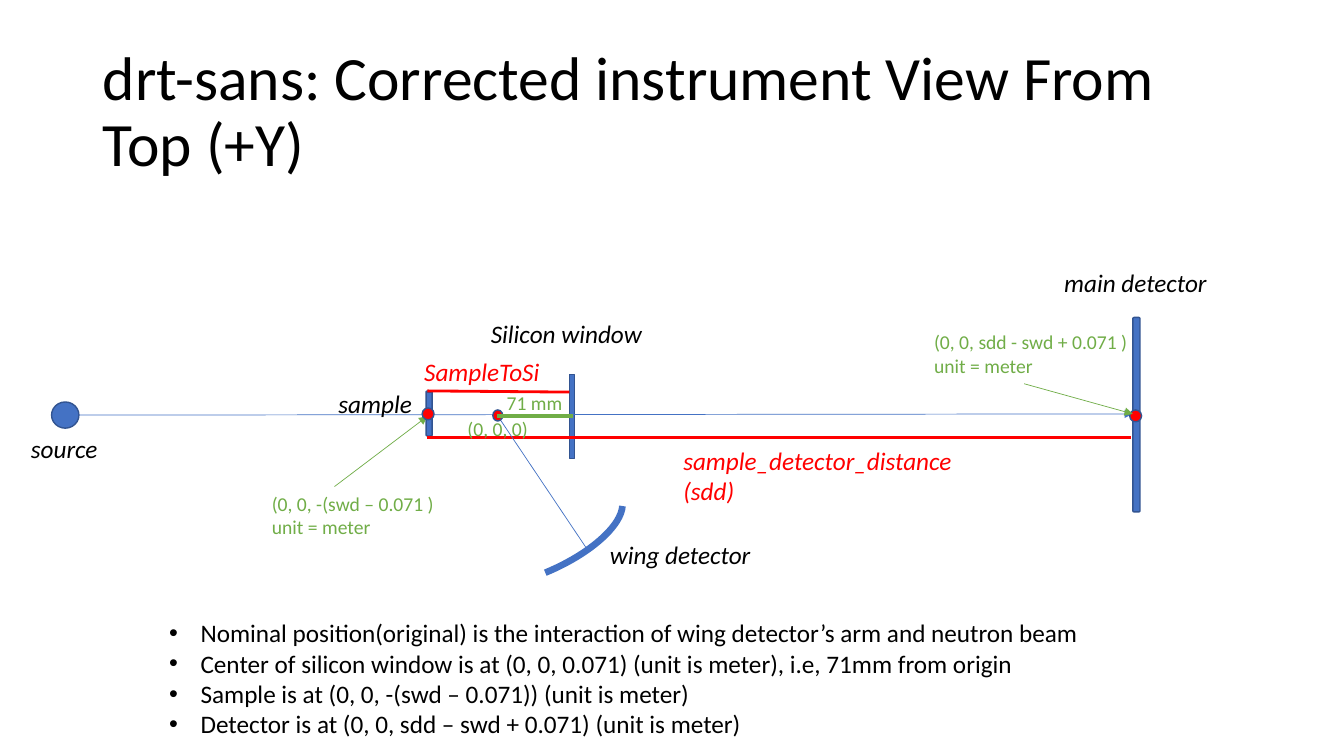
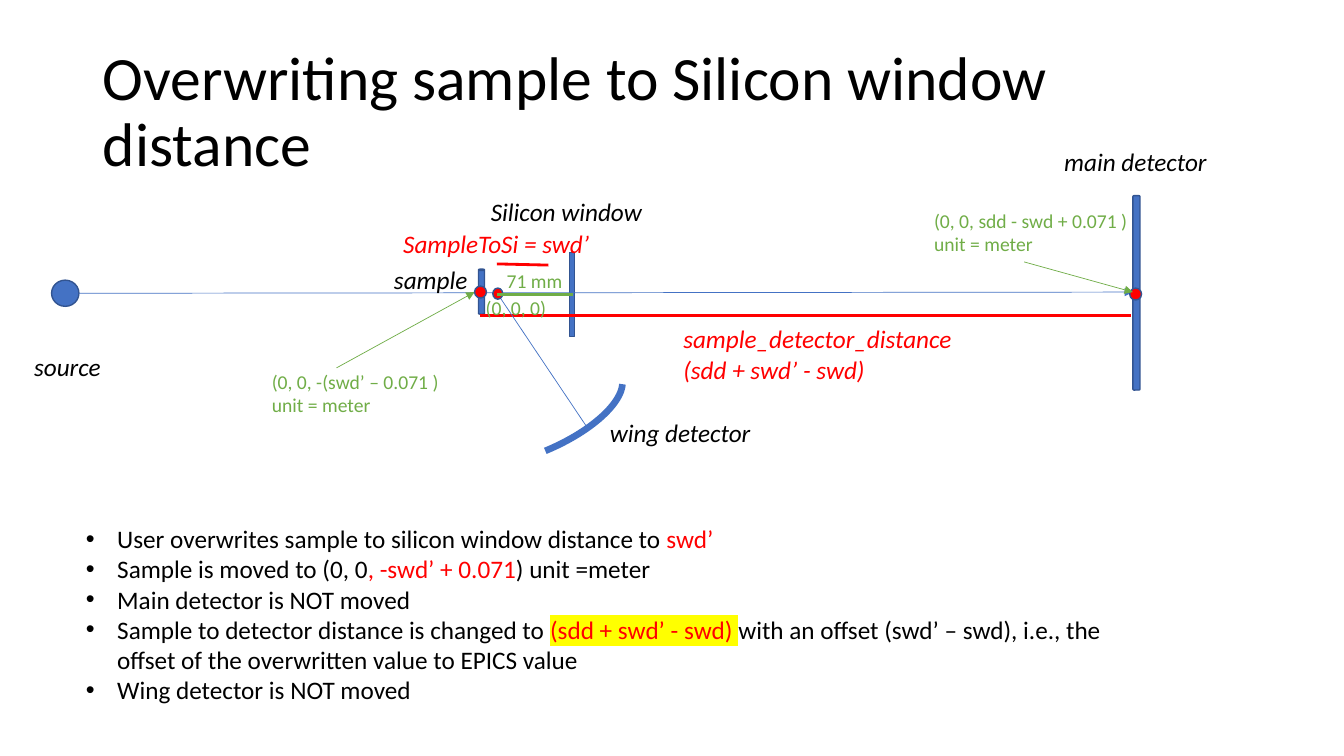
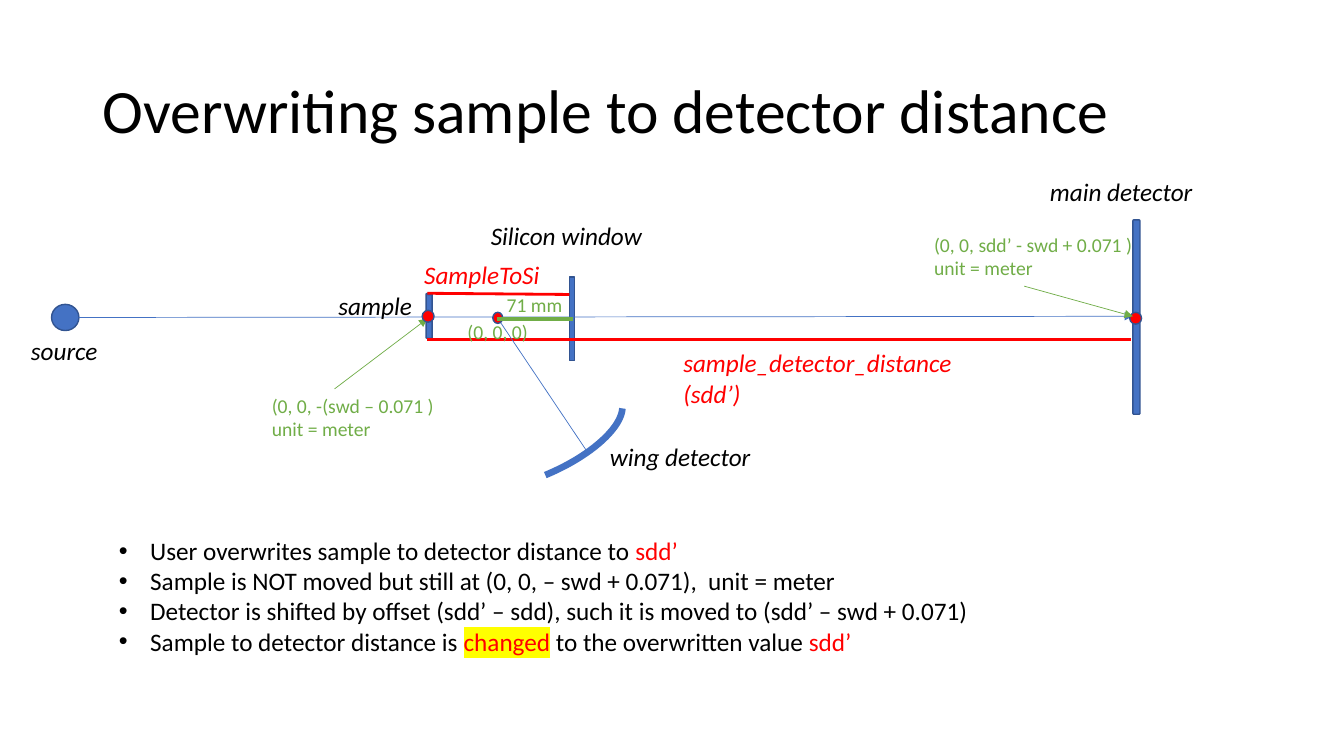
import dataclasses
import pptx
import pptx.dml.color
import pptx.enum.shapes
import pptx.enum.text
import pptx.oxml
import pptx.oxml.ns
import pptx.util

Cm, Pt = pptx.util.Cm, pptx.util.Pt
qn = pptx.oxml.ns.qn
Kind = pptx.enum.shapes.MSO_SHAPE
Fit = pptx.enum.text.MSO_AUTO_SIZE
LINE, ARROW = "line", "arrow"


@dataclasses.dataclass(frozen=True)
class Theme:
    font: str = "Calibri"
    black: str = "000000"
    red: str = "FF0000"
    green: str = "70AD47"
    blue: str = "4472C4"
    edge: str = "325491"
    mark: str = "FFFF00"
    head: int = 44
    text: int = 18
    note: int = 14


theme = Theme()


def rgb(tone):
    return pptx.dml.color.RGBColor.from_string(tone)


# Each line is a paragraph; parts between bars are red, and a leading ^ adds a marker
def write(frame, text, size=theme.text, tone=theme.black, slant=False,
          wrap=True, fit=Fit.NONE, space=1.0, dot=False):
    frame.word_wrap, frame.auto_size = wrap, fit
    for row, line in enumerate(text.split("\n")):
        para = frame.paragraphs[0] if row == 0 else frame.add_paragraph()
        para.alignment = pptx.enum.text.PP_ALIGN.LEFT
        para.line_spacing, para.space_before = space, Pt(0)
        if dot:
            props = para._p.get_or_add_pPr()
            props.set("marL", str(Cm(0.79)))
            props.set("indent", str(-Cm(0.79)))
            for tag, key, value in (("buFont", "typeface", "Arial"), ("buChar", "char", "•")):
                node = pptx.oxml.parse_xml(f'<a:{tag} {pptx.oxml.ns.nsdecls("a")}/>')
                node.set(key, value)
                props.append(node)
        for part, words in enumerate(line.split("|")):
            if not words:
                continue
            run = para.add_run()
            run.text = words.lstrip("^")
            font = run.font
            font.size, font.name, font.italic = Pt(size), theme.font, slant
            font.color.rgb = rgb(theme.red if part % 2 else tone)
            if words.startswith("^"):
                run._r.rPr.find(qn("a:solidFill")).addnext(pptx.oxml.parse_xml(
                    f'<a:highlight {pptx.oxml.ns.nsdecls("a")}>'
                    f'<a:srgbClr val="{theme.mark}"/></a:highlight>'))


# What differs between slides; heights in the drawing count from the beam
views = [
    dict(title="drt-sans: Corrected instrument View From Top (+Y)", beam=10.46,
         shift=0, source=(0.53, 0.33), sample=(8.28, -0.81), main=(26.57, -3.84),
         gap=(10.77, -0.61, 14.35, -0.58), name=("SampleToSi", 10.44, -1.6, 3.45),
         zero=11.53, ray=(8.43, 1.8, 10.77, 0.03),
         total="(sdd)", start="swd", end="sdd", box=(4.01, 15.44, 23.93, 3.33),
         text="Nominal position(original) is the interaction of wing detector’s arm and neutron beam\n"
              "Center of silicon window is at (0, 0, 0.071) (unit is meter), i.e, 71mm from origin\n"
              "Sample is at (0, 0, -(swd – 0.071)) (unit is meter)\n"
              "Detector is at (0, 0, sdd – swd + 0.071) (unit is meter)"),
    dict(title="Overwriting sample to Silicon window distance", beam=7.39,
         shift=1.32, source=(0.61, 1.35), sample=(9.68, -0.86), main=(26.57, -3.84),
         gap=(12.52, -0.74, 13.82, -0.71), name=("SampleToSi = swd’", 9.91, -1.75, 5.23),
         zero=11.99, ray=(8.48, 1.88, 11.96, -0.03),
         total="(sdd + swd’ - swd)", start="swd’", end="sdd", box=(1.91, 13.06, 27.41, 4.88),
         text="User overwrites sample to silicon window distance to |swd’|\n"
              "Sample is moved to (0, 0|, -swd’ + 0.071|) unit =meter\n"
              "Main detector is NOT moved\n"
              "Sample to detector distance is changed to |^(sdd + swd’ - swd) |with an offset "
              "(swd’ – swd), i.e., the offset of the overwritten value to EPICS value\n"
              "Wing detector is NOT moved"),
    dict(title="Overwriting sample to detector distance", beam=8,
         shift=0, source=(0.53, 0.33), sample=(8.28, -0.81), main=(26.21, -3.68),
         gap=(10.77, -0.61, 14.35, -0.58), name=("SampleToSi", 10.44, -1.6, 3.45),
         zero=11.53, ray=(8.43, 1.8, 10.77, 0.03),
         total="(sdd’)", start="swd", end="sdd’", box=(2.74, 13.36, 27.41, 3.33),
         text="User overwrites sample to detector distance to |sdd’|\n"
              "Sample is NOT moved but still at (0, 0, – swd + 0.071),  unit = meter\n"
              "Detector is shifted by offset (sdd’ – sdd), such it is moved to (sdd’ – swd + 0.071)\n"
              "Sample to detector distance is |^changed| to the overwritten value |sdd’|"),
]

# Page and shared title place
deck = pptx.Presentation()
deck.slide_width, deck.slide_height = Cm(33.87), Cm(19.05)
plan = deck.slide_layouts[1]
head = plan.placeholders[0]
head.left, head.top, head.width, head.height = Cm(2.34), Cm(1.02), Cm(29.21), Cm(3.68)

for view in views:
    slide = deck.slides.add_slide(plan)
    beam, shift = view["beam"], view["shift"]

    # Title and list
    title, body = slide.placeholders
    write(title.text_frame, view["title"], size=theme.head, space=0.9)
    title.text_frame.vertical_anchor = pptx.enum.text.MSO_ANCHOR.MIDDLE
    body.left, body.top, body.width, body.height = map(Cm, view["box"])
    write(body.text_frame, view["text"], dot=True)

    # Drawing, back to front: shapes take a box, lines take two ends
    items = [
        (Kind.OVAL, theme.blue, 1, (1.3, -0.33, 0.69, 0.66)),
        (Kind.CAN, theme.blue, 1, (10.74 + shift, -0.61, 0.15, 1.14)),
        (Kind.RECTANGLE, theme.blue, 1, (14.35, -1.02, 0.13, 2.11)),
        (Kind.ROUNDED_RECTANGLE, theme.blue, 1, (28.55, -2.46, 0.18, 4.9)),
        (ARROW, theme.blue, 0.5, (1.98, 0, 28.55, -0.03)),
        (LINE, theme.red, 2, view["gap"]),
        (LINE, theme.red, 2, (10.77 + shift, 0.56, 28.5, 0.56)),
        (Kind.ARC, theme.blue, 4.75, (11, 2.06, 4.85, 1.96)),
        (LINE, theme.blue, 0.5, (12.55, 0.03, 14.83, 3.43)),
        (Kind.OVAL, theme.red, 1, (12.42, -0.13, 0.25, 0.28)),
        (LINE, theme.green, 2.75, (12.52, 0.03, 14.43, 0.03)),
        (ARROW, theme.green, 0.5, view["ray"]),
        (Kind.OVAL, theme.red, 1, (10.64 + shift, -0.18, 0.3, 0.3)),
        (Kind.OVAL, theme.red, 1, (28.47, -0.13, 0.3, 0.3)),
        (ARROW, theme.green, 0.5, (25.81, -0.79, 28.55, -0.03)),
    ]
    for kind, tone, thick, (x, y, a, b) in items:
        if kind in (LINE, ARROW):
            link = slide.shapes.add_connector(
                pptx.enum.shapes.MSO_CONNECTOR.STRAIGHT,
                Cm(x), Cm(beam + y), Cm(a), Cm(beam + b))
            link.line.color.rgb, link.line.width = rgb(tone), Pt(thick)
            props = link.element.spPr
            if kind == ARROW:
                props.find(qn("a:ln")).append(pptx.oxml.parse_xml(
                    f'<a:tailEnd {pptx.oxml.ns.nsdecls("a")} type="triangle"/>'))
            props.append(pptx.oxml.parse_xml(f'<a:effectLst {pptx.oxml.ns.nsdecls("a")}/>'))
            continue
        shape = slide.shapes.add_shape(kind, Cm(x), Cm(beam + y), Cm(a), Cm(b))
        shape.shadow.inherit = False
        shape.line.width = Pt(thick)
        if kind == Kind.ARC:
            shape.fill.background()
            shape.line.color.rgb = rgb(tone)
            # About a quarter turn, from the top to the side
            shape.adjustments[0], shape.adjustments[1] = 159.5, 213.16
            shape.rotation = 156.9
            shape.element.spPr.find(qn("a:xfrm")).set("flipH", "1")
        else:
            shape.fill.solid()
            shape.fill.fore_color.rgb = rgb(tone)
            shape.line.color.rgb = rgb(theme.edge)

    # Labels: green notes are small and upright, the rest slanted
    name, left, top, wide = view["name"]
    labels = [
        ("source", *view["source"], 2.21, 1.02, theme.black),
        ("sample", *view["sample"], 2.39, 1.02, theme.black),
        ("Silicon window", 12.12, -2.57, 4.37, 1.02, theme.black),
        ("main detector", *view["main"], 4.14, 1.02, theme.black),
        ("wing detector", 15.12, 3, 4.1, 1.02, theme.black),
        (name, left, top, wide, 1.02, theme.red),
        (f"sample_detector_distance\n{view['total']}", 16.97, 0.64, 7.34, 1.8, theme.red),
        ("(0, 0, 0)", view["zero"], -0.07, 2.03, 0.86, theme.green),
        ("71 mm", 12.52, -0.74, 2.1, 0.86, theme.green),
        (f"(0, 0, -({view['start']} – 0.071 )\nunit = meter", 6.6, 1.8, 5.23, 1.45, theme.green),
        (f"(0, 0, {view['end']} - swd + 0.071 )\nunit = meter", 23.29, -2.26, 6.58, 1.45, theme.green),
    ]
    for text, x, y, w, h, tone in labels:
        box = slide.shapes.add_textbox(Cm(x), Cm(beam + y), Cm(w), Cm(h))
        note = tone == theme.green
        write(box.text_frame, text, size=theme.note if note else theme.text,
              tone=tone, slant=not note, wrap=note, fit=Fit.SHAPE_TO_FIT_TEXT)

deck.save("out.pptx")
